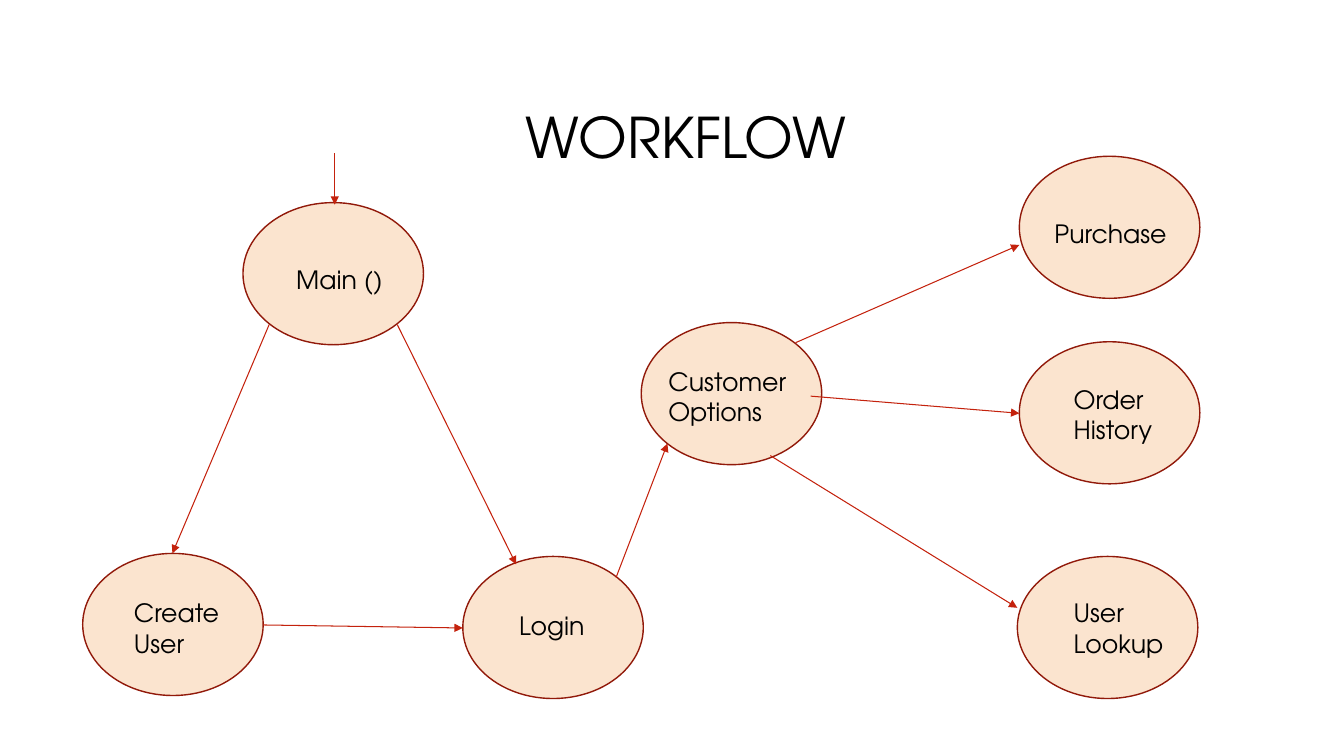
import pptx
import pptx.util
import pptx.dml.color
import pptx.enum.shapes
import pptx.enum.text
import pptx.oxml.ns
import lxml.etree

COLORS = {"text": "000000", "node": "FBE4CF", "outline": "91190A", "arrow": "C4220D", "background": "FFFFFF"}
PX = 9144
NODE_WIDTH, NODE_HEIGHT = 179, 141

NODES = [
    ((241, 201), (284, 257, 120, 40), ["Main ()"]),
    ((82, 549), (123, 588, 120, 71), ["Create", "User"]),
    ((459, 552), (505, 601, 91, 40), ["Login"]),
    ((636, 320), (653, 358, 151, 71), ["Customer Options"]),
    ((1009, 552), (1055, 588, 151, 71), ["User", "Lookup"]),
    ((1011, 339), (1055, 376, 151, 71), ["Order", "History"]),
    ((1011, 155), (1036, 212, 151, 40), ["Purchase"]),
]

ARROWS = [
    ((332, 152), (332, 203)),
    ((267, 322), (171, 549)),
    ((394, 322), (512, 560)),
    ((261, 620), (459, 623)),
    ((611, 573), (662, 440)),
    ((789, 340), (1011, 243)),
    ((804, 393), (1011, 410)),
    ((764, 452), (1009, 603)),
]


def px(*lengths):
    return [pptx.util.Emu(length * PX) for length in lengths]


def color(name):
    return pptx.dml.color.RGBColor.from_string(COLORS[name])


def set_values(target, values):
    for name, value in values.items():
        setattr(target, name, value)


class WorkflowSlide:
    font = "TeX Gyre Adventor"

    def __init__(self, presentation):
        self.slide = presentation.slides.add_slide(presentation.slide_layouts[5])
        background = self.slide.background.fill
        background.solid()
        background.fore_color.rgb = color("background")

    def add_lines(self, text_frame, lines, size, **paragraph_format):
        text_frame.word_wrap = True
        for index, line in enumerate(lines):
            paragraph = text_frame.paragraphs[0] if index == 0 else text_frame.add_paragraph()
            set_values(paragraph, paragraph_format)
            run = paragraph.add_run()
            run.text = line
            set_values(run.font, {"name": self.font, "size": pptx.util.Pt(size), "bold": False})
            run.font.color.rgb = color("text")

    def title(self, text, box):
        title = self.slide.shapes.title
        set_values(title, dict(zip(("left", "top", "width", "height"), px(*box))))
        set_values(title.text_frame, {
            "vertical_anchor": pptx.enum.text.MSO_ANCHOR.MIDDLE,
            "auto_size": pptx.enum.text.MSO_AUTO_SIZE.NONE,
        })
        self.add_lines(title.text_frame, [text], 40,
                       alignment=pptx.enum.text.PP_ALIGN.RIGHT, line_spacing=0.9)

    def node(self, corner, label_box, lines):
        ellipse = self.slide.shapes.add_shape(
            pptx.enum.shapes.MSO_SHAPE.OVAL, *px(*corner, NODE_WIDTH, NODE_HEIGHT))
        ellipse.shadow.inherit = False
        ellipse.fill.solid()
        ellipse.fill.fore_color.rgb = color("node")
        ellipse.line.color.rgb = color("outline")
        ellipse.line.width = pptx.util.Pt(1)
        label = self.slide.shapes.add_textbox(*px(*label_box))
        label.text_frame.auto_size = pptx.enum.text.MSO_AUTO_SIZE.SHAPE_TO_FIT_TEXT
        self.add_lines(label.text_frame, lines, 18)

    def arrow(self, start, end):
        connector = self.slide.shapes.add_connector(
            pptx.enum.shapes.MSO_CONNECTOR.STRAIGHT, *px(*start, *end))
        connector.line.color.rgb = color("arrow")
        connector.line.width = pptx.util.Pt(0.75)
        properties = connector.element.spPr
        line = properties.find(pptx.oxml.ns.qn("a:ln"))
        lxml.etree.SubElement(line, pptx.oxml.ns.qn("a:tailEnd"), type="triangle")
        lxml.etree.SubElement(properties, pptx.oxml.ns.qn("a:effectLst"))


def main():
    presentation = pptx.Presentation()
    presentation.slide_width, presentation.slide_height = px(1333, 750)
    workflow = WorkflowSlide(presentation)
    workflow.title("WORKFLOW", (484, 69, 365, 141))
    for corner, label_box, lines in NODES:
        workflow.node(corner, label_box, lines)
    for start, end in ARROWS:
        workflow.arrow(start, end)
    presentation.save("out.pptx")


if __name__ == "__main__":
    main()
